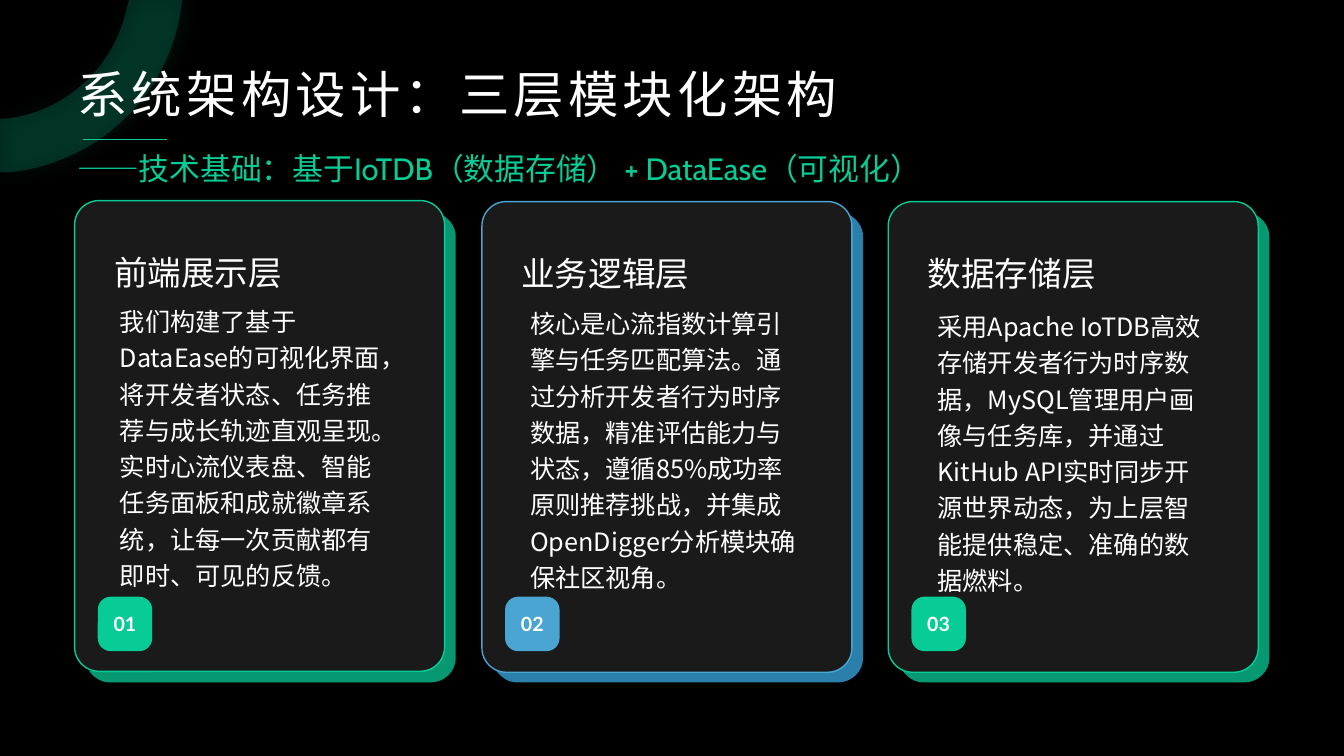
from dataclasses import dataclass

from lxml.etree import SubElement
from pptx import Presentation
from pptx.dml.color import RGBColor
from pptx.enum.shapes import MSO_CONNECTOR, MSO_SHAPE
from pptx.enum.text import MSO_ANCHOR as Anchor, PP_ALIGN as Align
from pptx.oxml.ns import qn
from pptx.shapes.autoshape import Shape
from pptx.slide import Slide
from pptx.text.text import TextFrame
from pptx.util import Inches, Pt

COLORS = {
    "background": "000000",
    "card": "1A1A1A",
    "text": "FFFFFF",
    "green": "08CC96",
    "dark_green": "069971",
    "blue": "4AA5D2",
    "dark_blue": "2A80AB",
}
CJK_FONT = "Noto Sans CJK SC"

# Outlines: a pair is a line to that point, six numbers are a Bézier curve.
RING = [
    (1.28, 0), (1.81, 0), (1.78, 0.18),
    (1.62, 1, 0.94, 1.62, 0.09, 1.71),
    (0, 1.71), (0, 1.18), (0.04, 1.18),
    (0.65, 1.12, 1.14, 0.66, 1.26, 0.07),
]
CARD_EDGE = [
    (3.63, 2.12), (3.64, 2.13),
    (3.72, 2.17, 3.78, 2.25, 3.78, 2.35),
    (3.78, 6.53),
    (3.78, 6.66, 3.67, 6.77, 3.53, 6.77),
    (0.35, 6.77),
    (0.26, 6.77, 0.19, 6.72, 0.14, 6.65),
    (0.17, 6.66, 0.21, 6.66, 0.24, 6.66),
    (3.42, 6.66),
    (3.56, 6.66, 3.66, 6.56, 3.66, 6.42),
    (3.66, 2.24),
    (3.66, 2.2, 3.65, 2.16, 3.63, 2.12),
]


@dataclass
class Layer:
    number: str
    heading: str
    description: str
    left: float
    top: float
    body: tuple[float, float, float, float]
    accent: str
    edge: str


LAYERS = [
    Layer("01", "前端展示层",
          "我们构建了基于DataEase的可视化界面，将开发者状态、任务推荐与成长轨迹直观呈现。"
          "实时心流仪表盘、智能任务面板和成就徽章系统，让每一次贡献都有即时、可见的反馈。",
          0.74, 1.99, (1.09, 2.93, 2.94, 2.99), "green", "dark_green"),
    Layer("02", "业务逻辑层",
          "核心是心流指数计算引擎与任务匹配算法。通过分析开发者行为时序数据，精准评估能力与状态，"
          "遵循85%成功率原则推荐挑战，并集成OpenDigger分析模块确保社区视角。",
          4.78, 2, (5.16, 2.95, 2.87, 3.01), "blue", "dark_blue"),
    Layer("03", "数据存储层",
          "采用Apache IoTDB高效存储开发者行为时序数据，MySQL管理用户画像与任务库，"
          "并通过KitHub API实时同步开源世界动态，为上层智能提供稳定、准确的数据燃料。",
          8.81, 2, (9.2, 2.98, 2.88, 2.81), "green", "dark_green"),
]


def color(name: str) -> RGBColor:
    return RGBColor.from_string(COLORS[name])


def set_fill(shape: Shape, fill: str) -> None:
    """Give a shape a plain fill with no line or shadow."""
    shape.shadow.inherit = False
    shape.fill.solid()
    shape.fill.fore_color.rgb = color(fill)
    shape.line.fill.background()


def add_outline(slide: Slide, outline: list[tuple], fill: str, left: float = 0) -> Shape:
    """Build a freeform, then bend the segments that are curves."""
    ends = [(Inches(left + step[-2]), Inches(step[-1])) for step in outline]
    builder = slide.shapes.build_freeform(*ends[0])
    builder.add_line_segments(ends[1:], close=True)
    shape = builder.convert_to_shape()
    segments = list(shape._element.iter(qn("a:lnTo")))
    for segment, step in zip(segments, outline[1:]):
        if len(step) == 6:
            segment.tag = qn("a:cubicBezTo")
            for point in list(segment):
                segment.remove(point)
            for x, y in zip(step[::2], step[1::2]):
                SubElement(segment, qn("a:pt"), x=str(Inches(left + x) - shape.left),
                           y=str(Inches(y) - shape.top))
    set_fill(shape, fill)
    return shape


def add_ring(slide: Slide) -> None:
    """Draw the translucent glowing ring in the corner."""
    ring = add_outline(slide, RING, "green")
    properties = ring._element.spPr
    fill_color = properties.find(qn("a:solidFill")).find(qn("a:srgbClr"))
    SubElement(fill_color, qn("a:alpha"), val="20000")
    glow = SubElement(properties.find(qn("a:effectLst")), qn("a:outerShdw"),
                      blurRad=str(Pt(16)), dist=str(Pt(3)), dir="0")
    glow_color = SubElement(glow, qn("a:srgbClr"), val=COLORS["green"])
    SubElement(glow_color, qn("a:alpha"), val="40000")


def add_rule(slide: Slide) -> None:
    rule = slide.shapes.add_connector(
        MSO_CONNECTOR.STRAIGHT, Inches(0.82), Inches(1.38), Inches(1.66), Inches(1.38))
    rule.line.color.rgb = color("green")
    rule.line.width = Pt(0.5)
    SubElement(rule._element.spPr, qn("a:effectLst"))


def write(text_frame: TextFrame, text: str, size: int, font: str = CJK_FONT,
          fill: str = "text", spacing: float = 1, bold: bool = False,
          align: Align = Align.LEFT, tracking: int = 0) -> None:
    text_frame.text = text
    paragraph = text_frame.paragraphs[0]
    paragraph.alignment = align
    paragraph.line_spacing = spacing
    run = paragraph.runs[0]
    run.font.size = Pt(size)
    run.font.bold = bold
    run.font.name = font
    run.font.color.rgb = color(fill)
    properties = run.font._element
    SubElement(properties, qn("a:ea"), typeface=CJK_FONT)
    if tracking:
        properties.set("spc", str(tracking * 100))


def add_text(slide: Slide, box: tuple[float, float, float, float]) -> TextFrame:
    text_frame = slide.shapes.add_textbox(*map(Inches, box)).text_frame
    text_frame.word_wrap = True
    return text_frame


def add_rounded(slide: Slide, box: tuple[float, float, float, float],
                radius: float, fill: str) -> Shape:
    shape = slide.shapes.add_shape(MSO_SHAPE.ROUNDED_RECTANGLE, *map(Inches, box))
    shape.adjustments[0] = radius
    set_fill(shape, fill)
    return shape


def add_layer(slide: Slide, layer: Layer) -> None:
    add_outline(slide, CARD_EDGE, layer.edge, layer.left)

    card = add_rounded(slide, (layer.left, layer.top, 3.67, 4.67), 0.066, "card")
    card.line.color.rgb = color(layer.accent)
    card.line.width = Pt(1)
    text_frame = card.text_frame
    text_frame.margin_left = text_frame.margin_right = Inches(0.32)
    text_frame.margin_top = Inches(0.28)
    text_frame.margin_bottom = Inches(0.76)
    text_frame.vertical_anchor = Anchor.TOP
    write(text_frame, layer.heading, 24, spacing=1.4)

    badge = add_rounded(slide, (layer.left + 0.23, 5.92, 0.54, 0.54), 0.238, layer.accent)
    badge.text_frame.word_wrap = False
    badge.text_frame.vertical_anchor = Anchor.MIDDLE
    write(badge.text_frame, layer.number, 14, "Lato", bold=True, align=Align.CENTER)


def main() -> None:
    presentation = Presentation()
    presentation.slide_width = Inches(13.33)
    presentation.slide_height = Inches(7.5)
    slide = presentation.slides.add_slide(presentation.slide_layouts[6])
    slide.background.fill.solid()
    slide.background.fill.fore_color.rgb = color("background")

    add_ring(slide)
    add_rule(slide)
    title = add_text(slide, (0.67, 0.4, 12, 1.12))
    title.vertical_anchor = Anchor.MIDDLE
    write(title, "系统架构设计：三层模块化架构", 36, "Cabin", spacing=0.9, tracking=3)

    for layer in LAYERS:
        add_layer(slide, layer)
    write(add_text(slide, (0.67, 1.44, 8.97, 0.47)),
          "——技术基础：基于IoTDB（数据存储） + DataEase（可视化）", 22, "Cabin", "green")
    for layer in LAYERS:
        write(add_text(slide, layer.body), layer.description, 18, spacing=1.2)

    presentation.save("out.pptx")


if __name__ == "__main__":
    main()
